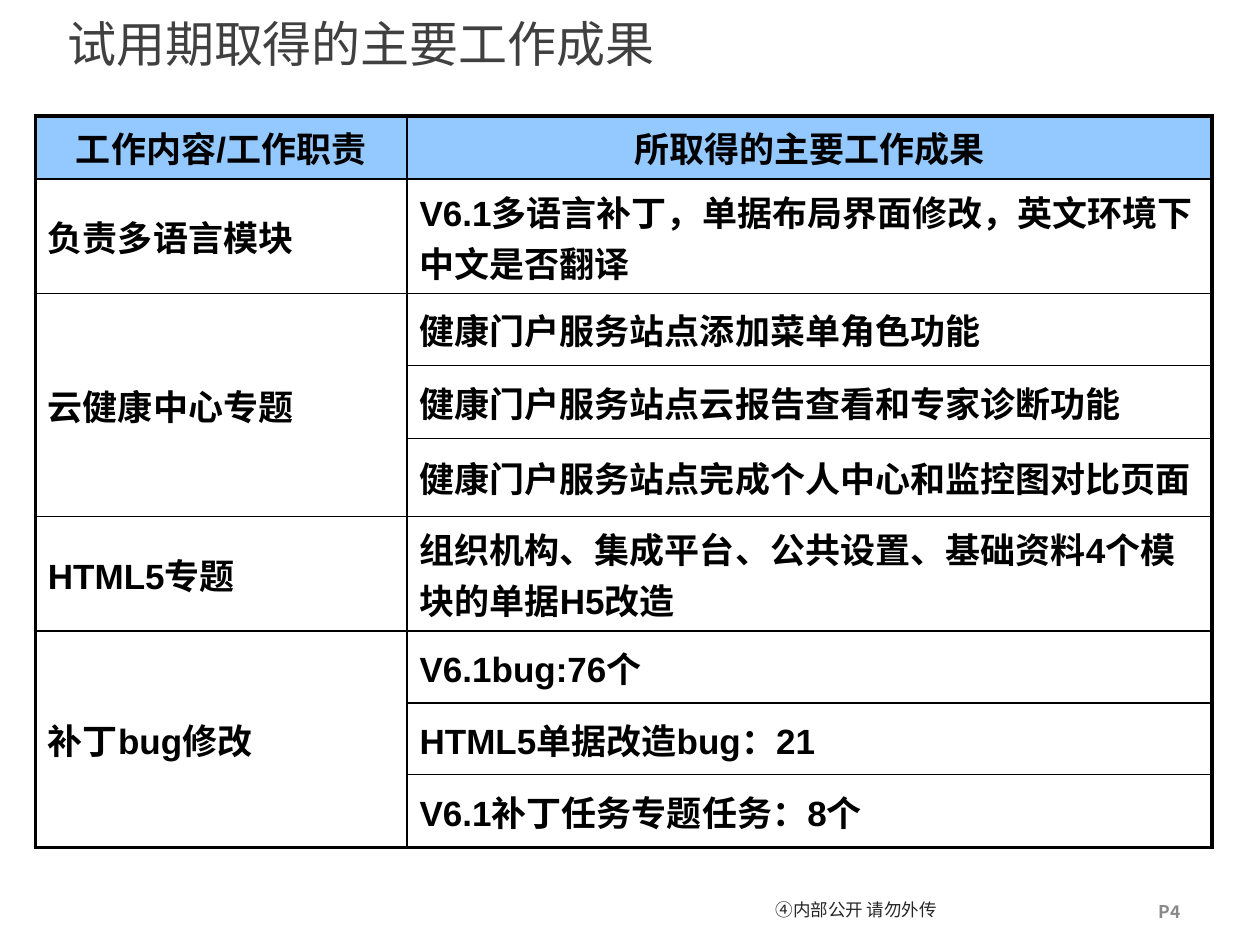
from dataclasses import dataclass
from typing import Any

from lxml.etree import SubElement
from pptx import Presentation
from pptx.dml.color import RGBColor
from pptx.enum.text import MSO_ANCHOR as Anchor, PP_ALIGN as Align
from pptx.oxml import parse_xml
from pptx.oxml.ns import nsdecls, qn
from pptx.util import Inches, Pt

BLACK = RGBColor(0x00, 0x00, 0x00)
TITLE_GREY = RGBColor(0x40, 0x40, 0x40)
NOTICE_GREY = RGBColor(0x26, 0x26, 0x26)
PAGE_GREY = RGBColor(0x89, 0x89, 0x89)
HEADER_BLUE = RGBColor(0x93, 0xC9, 0xFF)
CJK_FONT = "Noto Sans CJK SC"
LATIN_FONT = "Arial"
WIDTH, HEIGHT = Inches(10), Inches(7.5)
OUTER, INNER = Pt(2.25), Pt(1)
COLUMN_INCHES = (2.95, 6.39)
HEADER_INCHES = 0.5


@dataclass(frozen=True)
class Label:
    text: str
    left: float
    top: float
    width: float
    height: float
    size: float
    color: RGBColor
    paragraph: dict[str, Any]
    frame: dict[str, Any]
    bold: bool = False


@dataclass(frozen=True)
class Duty:
    name: str
    results: tuple[str, ...]
    row_inches: tuple[float, ...]


LABELS = (
    Label("试用期取得的主要工作成果", 0.0435, 0, 0.732, 0.09, 28, TITLE_GREY,
          {"alignment": Align.LEFT}, {"vertical_anchor": Anchor.MIDDLE}),
    Label("④内部公开 请勿外传", 0.591, 0.937, 0.177, 0.048, 10, NOTICE_GREY,
          {"alignment": Align.CENTER, "line_spacing": Pt(14)},
          {"vertical_anchor": Anchor.MIDDLE,
           "margin_left": Inches(0.08), "margin_right": Inches(0.08),
           "margin_top": Inches(0.01), "margin_bottom": Inches(0.01)}),
    Label("P4", 0.91, 0.947, 0.09, 0.036, 10, PAGE_GREY,
          {"alignment": Align.LEFT}, {"vertical_anchor": Anchor.TOP}, True),
)

HEADINGS = ("工作内容/工作职责", "所取得的主要工作成果")
DUTIES = (
    Duty("负责多语言模块",
         ("V6.1多语言补丁，单据布局界面修改，英文环境下中文是否翻译",), (0.91,)),
    Duty("云健康中心专题",
         ("健康门户服务站点添加菜单角色功能",
          "健康门户服务站点云报告查看和专家诊断功能",
          "健康门户服务站点完成个人中心和监控图对比页面"), (0.57, 0.58, 0.62)),
    Duty("HTML5专题",
         ("组织机构、集成平台、公共设置、基础资料4个模块的单据H5改造",), (0.91,)),
    Duty("补丁bug修改",
         ("V6.1bug:76个", "HTML5单据改造bug：21", "V6.1补丁任务专题任务：8个"),
         (0.57, 0.57, 0.58)),
)


def apply_format(target: Any, values: dict[str, Any]) -> None:
    for attribute, value in values.items():
        setattr(target, attribute, value)


def write_run(paragraph: Any, text: str, latin: str, size: float,
              color: RGBColor, bold: bool) -> None:
    run = paragraph.add_run()
    run.text = text
    apply_format(run.font, {"name": latin, "size": Pt(size), "bold": bold})
    run.font.color.rgb = color
    SubElement(run.font._element, qn("a:ea"), typeface=CJK_FONT)


def draw_label(slide: Any, label: Label) -> None:
    box = slide.shapes.add_textbox(
        int(WIDTH * label.left), int(HEIGHT * label.top),
        int(WIDTH * label.width), int(HEIGHT * label.height))
    apply_format(box.text_frame, {"word_wrap": True} | label.frame)
    paragraph = box.text_frame.paragraphs[0]
    apply_format(paragraph, label.paragraph)
    write_run(paragraph, label.text, CJK_FONT, label.size, label.color, label.bold)


def fill_cell(cell: Any, text: str, align: Any, anchor: Any) -> None:
    cell.vertical_anchor = anchor
    paragraph = cell.text_frame.paragraphs[0]
    paragraph.alignment = align
    spacing = SubElement(paragraph._p.get_or_add_pPr(), qn("a:spcBef"))
    SubElement(spacing, qn("a:spcPct"), val="20000")
    write_run(paragraph, text, LATIN_FONT, 20, BLACK, True)


def style_cell(cell: Any, row: int, column: int, last_row: int) -> None:
    if row == 0:
        cell.fill.solid()
        cell.fill.fore_color.rgb = HEADER_BLUE
    else:
        cell.fill.background()
    bottom_row = row + (cell.span_height if cell.is_merge_origin else 1) - 1
    on_edge = {"lnL": column == 0, "lnR": column == len(HEADINGS) - 1,
               "lnT": row == 0, "lnB": bottom_row == last_row}
    properties = cell._tc.get_or_add_tcPr()
    for position, (side, outer) in enumerate(on_edge.items()):
        properties.insert(position, parse_xml(
            f'<a:{side} {nsdecls("a")} w="{OUTER if outer else INNER}">'
            f'<a:solidFill><a:srgbClr val="{BLACK}"/></a:solidFill></a:{side}>'))


def draw_results(slide: Any) -> None:
    heights = [HEADER_INCHES, *(h for duty in DUTIES for h in duty.row_inches)]
    table = slide.shapes.add_table(
        len(heights), len(COLUMN_INCHES), Inches(0.28), Inches(0.92),
        Inches(sum(COLUMN_INCHES)), Inches(sum(heights))).table
    apply_format(table, {"first_row": False, "horz_banding": False})
    for column, inches in zip(table.columns, COLUMN_INCHES):
        column.width = Inches(inches)
    for row, inches in zip(table.rows, heights):
        row.height = Inches(inches)

    for column, heading in enumerate(HEADINGS):
        fill_cell(table.cell(0, column), heading, Align.CENTER, Anchor.TOP)
    first = 1
    for duty in DUTIES:
        last = first + len(duty.results) - 1
        if last > first:
            table.cell(first, 0).merge(table.cell(last, 0))
        fill_cell(table.cell(first, 0), duty.name, Align.LEFT, Anchor.MIDDLE)
        for row, result in enumerate(duty.results, first):
            fill_cell(table.cell(row, 1), result, Align.LEFT, Anchor.MIDDLE)
        first = last + 1

    for row in range(len(heights)):
        for column in range(len(COLUMN_INCHES)):
            style_cell(table.cell(row, column), row, column, len(heights) - 1)


def main() -> None:
    deck = Presentation()
    apply_format(deck, {"slide_width": WIDTH, "slide_height": HEIGHT})
    slide = deck.slides.add_slide(deck.slide_layouts[6])
    for label in LABELS:
        draw_label(slide, label)
    draw_results(slide)
    deck.save("out.pptx")


if __name__ == "__main__":
    main()
